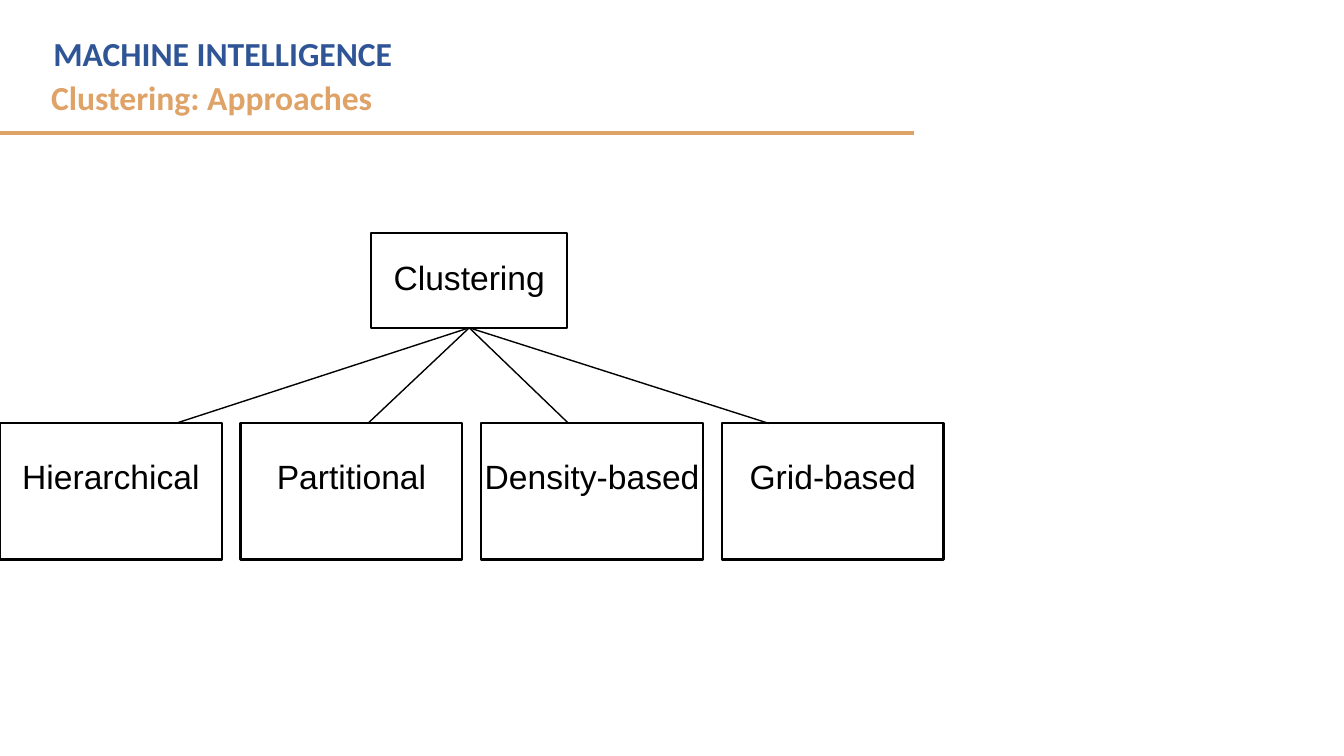
from lxml import etree
from pptx import Presentation
from pptx import util as u
from pptx.dml.color import RGBColor
from pptx.enum import shapes, text
from pptx.oxml.ns import qn

BLACK = RGBColor(0x00, 0x00, 0x00)
BLUE = RGBColor(0x2F, 0x55, 0x97)
ORANGE = RGBColor(0xDF, 0xA2, 0x67)

APPROACHES = ["Hierarchical", "Partitional", "Density-based", "Grid-based"]
BRANCH_ENDS = [4.42, 9.27, 14.33, 19.38]  # cm from the left of the tree


def write(shape, words, font="Arial", color=BLACK, bold=False,
          align=text.PP_ALIGN.LEFT, wrap=True, top_inset=0.13):
    frame = shape.text_frame
    frame.word_wrap = wrap
    frame.auto_size = text.MSO_AUTO_SIZE.NONE
    frame.vertical_anchor = text.MSO_ANCHOR.TOP
    frame.margin_top = u.Cm(top_inset)
    paragraph = frame.paragraphs[0]
    paragraph.alignment = align
    run = paragraph.add_run()
    run.text = words
    run.font.name = font
    run.font.size = u.Pt(24)
    run.font.bold = bold
    run.font.color.rgb = color


def add_line(slide, start, end, color, width):
    """Draw a straight line between two (x, y) points given in cm."""
    line = slide.shapes.add_connector(
        shapes.MSO_CONNECTOR.STRAIGHT, *map(u.Cm, (*start, *end)))
    line.line.color.rgb = color
    line.line.width = u.Pt(width)
    etree.SubElement(line._element.spPr, qn("a:effectLst"))
    return line


def add_node(slide, words, left, top, width, height, top_inset):
    node = slide.shapes.add_shape(
        shapes.MSO_SHAPE.RECTANGLE, *map(u.Cm, (left, top, width, height)))
    node.shadow.inherit = False
    node.fill.background()
    node.line.color.rgb = BLACK
    node.line.width = u.Pt(1.5)
    write(node, words, align=text.PP_ALIGN.CENTER, wrap=False, top_inset=top_inset)
    return node


def add_header(slide, left, top, width):
    title = slide.shapes.title
    title.left, title.top = u.Cm(left + 0.05), u.Cm(top)
    title.width, title.height = u.Cm(width - 1.4), u.Cm(1.27)
    write(title, "MACHINE INTELLIGENCE", font="Calibri", color=BLUE, bold=True)

    subtitle = slide.shapes.add_textbox(
        *map(u.Cm, (left, top + 1.09, width, 1.27)))
    write(subtitle, "Clustering: Approaches", font="Calibri", color=ORANGE, bold=True)

    rule_y = top + 2.64
    add_line(slide, (0, rule_y), (23.04, rule_y), ORANGE, 3)


def add_tree(slide, left, top, width, height):
    """Place the root above an evenly spaced row of approaches."""
    node_width, node_height = 5.59, 3.43
    pitch = (width - node_width) / (len(APPROACHES) - 1)
    row_top = top + height - node_height
    root_width, root_height = 4.95, 2.39
    root_left = left + 9.35
    root = add_node(slide, "Clustering", root_left, top, root_width, root_height, 0.61)
    root_bottom = (root_left + root_width / 2, top + root_height)

    for index, (approach, branch_end) in enumerate(zip(APPROACHES, BRANCH_ENDS)):
        add_node(slide, approach, left + index * pitch, row_top,
                 node_width, node_height, 0.81)
        branch = add_line(slide, root_bottom, (left + branch_end, row_top), BLACK, 1)
        branch.begin_connect(root, 2)


def main():
    presentation = Presentation()
    presentation.slide_width = u.Cm(33.87)
    presentation.slide_height = u.Cm(19.05)
    slide = presentation.slides.add_slide(presentation.slide_layouts[5])
    add_header(slide, left=1.04, top=0.71, width=22.23)
    add_tree(slide, left=0, top=5.87, width=23.78, height=8.23)
    presentation.save("out.pptx")


if __name__ == "__main__":
    main()
